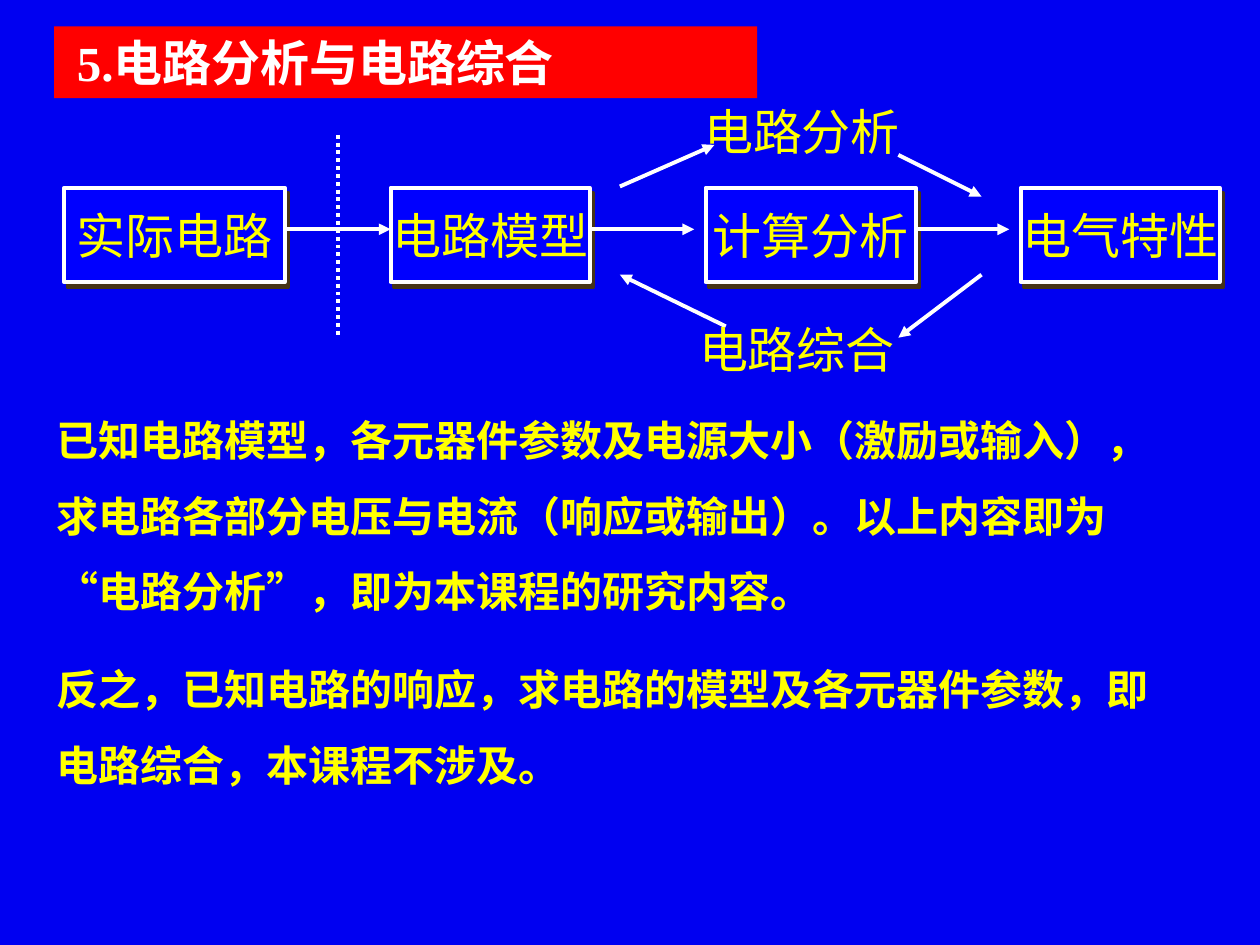
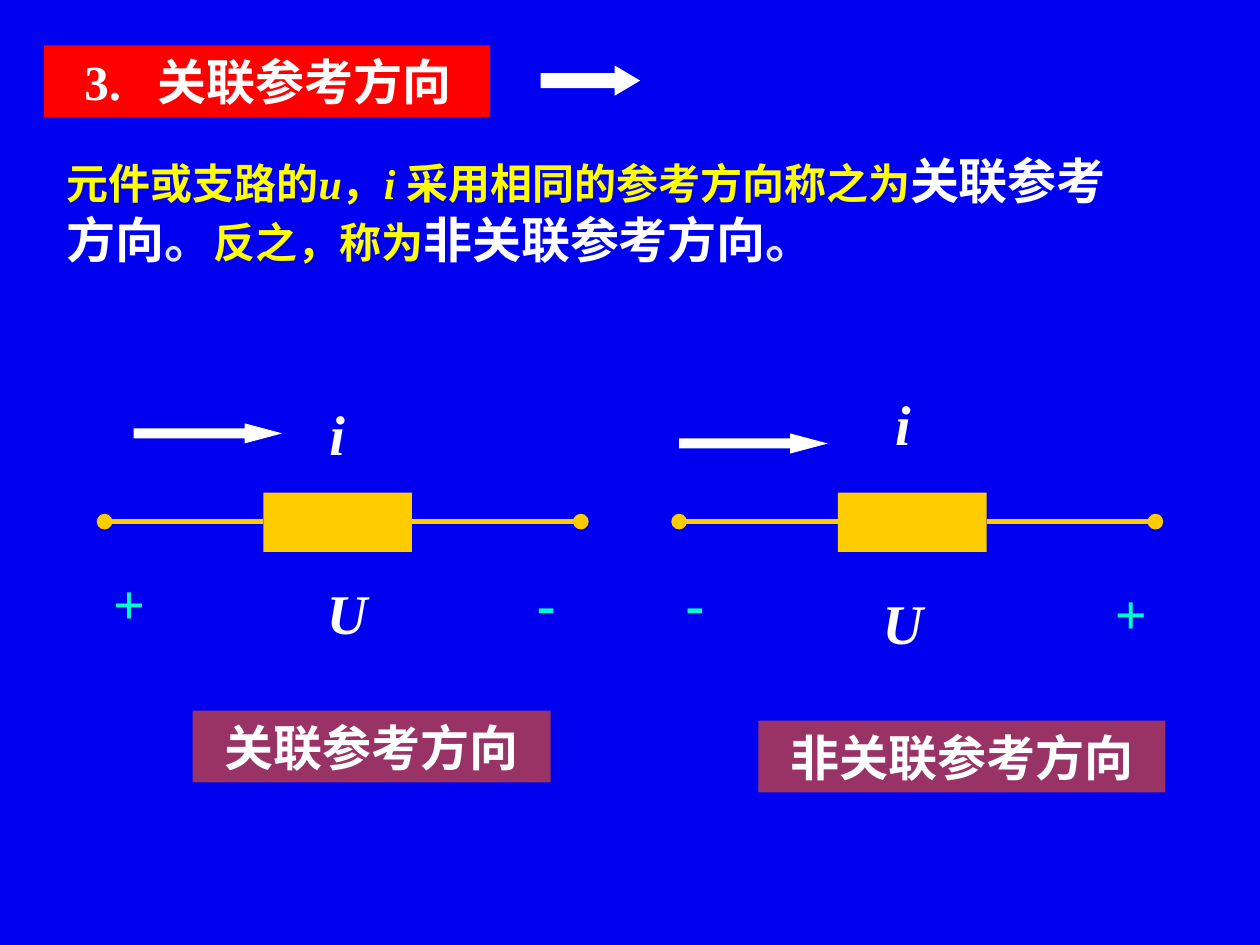
from dataclasses import dataclass

from lxml import etree
from pptx import Presentation
from pptx.dml.color import RGBColor
from pptx.enum.dml import MSO_LINE
from pptx.enum.shapes import MSO_CONNECTOR, MSO_SHAPE
from pptx.enum.text import MSO_ANCHOR, MSO_AUTO_SIZE, PP_ALIGN
from pptx.oxml.ns import qn
from pptx.util import Inches, Pt

RECT, ARROW = MSO_SHAPE.RECTANGLE, MSO_SHAPE.RIGHT_ARROW
STRAIGHT, DOTTED = MSO_CONNECTOR.STRAIGHT, MSO_LINE.ROUND_DOT
LEFT, CENTER = PP_ALIGN.LEFT, PP_ALIGN.CENTER
TOP, MIDDLE = MSO_ANCHOR.TOP, MSO_ANCHOR.MIDDLE
NO_FIT = MSO_AUTO_SIZE.NONE


@dataclass
class Theme:
    font: str = "Times New Roman"
    back: str = "0000F1"
    band: str = "FF0000"
    box: str = "0000FF"
    shadow: str = "463416"
    white: str = "FFFFFF"
    pale: str = "E3E3FF"
    yellow: str = "FFFF00"
    gold: str = "FFCC00"
    aqua: str = "00FFCC"
    plum: str = "993366"
    body: int = 24
    head: int = 28
    symbol: int = 32


T = Theme()
COL = ROW = Inches(0.1)

prs = Presentation()
prs.slide_width, prs.slide_height = 100 * COL, 75 * ROW
bg = prs.slide_master.background.fill
bg.solid()
bg.fore_color.rgb = RGBColor.from_string(T.back)
title_only = prs.slide_layouts[5]


def place(sp, x, y, w, h, paragraphs=(), size=T.head, color=T.white, fill=None,
          bold=False, italic=False, align=CENTER, anchor=TOP, wrap=True):
    sp.left, sp.top = round(x * COL), round(y * ROW)
    sp.width, sp.height = round(w * COL), round(h * ROW)
    if fill:
        sp.fill.solid()
        sp.fill.fore_color.rgb = RGBColor.from_string(fill)
        sp.line.fill.background()
        sp.shadow.inherit = False
    tf = sp.text_frame
    tf.auto_size, tf.word_wrap, tf.vertical_anchor = NO_FIT, wrap, anchor
    tf.text = "\n".join(paragraphs)
    for p in tf.paragraphs:
        p.alignment = align
        for r in p.runs:
            r.font.name, r.font.size = T.font, Pt(size)
            r.font.bold, r.font.italic = bold, italic
            r.font.color.rgb = RGBColor.from_string(color)
    return sp


def connect(s, x1, y1, x2, y2, color=T.white, width=2.25, dash=None, **ends):
    c = s.shapes.add_connector(STRAIGHT, round(x1 * COL), round(y1 * ROW),
                               round(x2 * COL), round(y2 * ROW))
    c.line.color.rgb = RGBColor.from_string(color)
    c.line.width = Pt(width)
    if dash:
        c.line.dash_style = dash
    spPr = c.element.spPr
    for end, kind in ends.items():
        etree.SubElement(spPr.find(qn("a:ln")), qn(f"a:{end}"), type=kind)
    etree.SubElement(spPr, qn("a:effectLst"))


s = prs.slides.add_slide(title_only)
title = place(s.shapes.title, 4.3, 2.1, 55.8, 5.7, ["5.电路分析与电路综合"],
              fill=T.band, bold=True, align=LEFT)
title.text_frame.margin_left = Inches(0.18)

stages = [("实际电路", 5.1, 17.5), ("电路模型", 31, 15.8),
          ("计算分析", 56, 16.7), ("电气特性", 81, 15.8)]
for name, x, w in stages:
    sp = place(s.shapes.add_shape(RECT, 0, 0, 0, 0), x, 14.9, w, 7.5, [name],
               color=T.yellow, fill=T.box, anchor=MIDDLE, wrap=False)
    sp.line.color.rgb = RGBColor.from_string(T.white)
    sp.line.width = Pt(2.25)
    effects = sp.element.spPr.find(qn("a:effectLst"))
    shadow = etree.SubElement(effects, qn("a:outerShdw"), dist=str(Pt(3.6)),
                              dir=str(56 * 60000), algn="ctr", rotWithShape="0")
    etree.SubElement(shadow, qn("a:srgbClr"), val=T.shadow)

for x1, y1, x2, y2 in [(22.6, 18.2, 31, 18.2), (46.8, 18.2, 55.1, 18.2),
                       (72.6, 18.2, 80.1, 18.2), (57.6, 25.9, 49.2, 21.8),
                       (77.9, 21.8, 71.3, 26.8), (49.2, 14.8, 56.7, 11.5),
                       (71.3, 12.3, 77.9, 15.6)]:
    connect(s, x1, y1, x2, y2, tailEnd="triangle")
connect(s, 26.8, 10.7, 26.8, 26.6, dash=DOTTED)

for name, x, y in [("电路分析", 54.9, 7.6), ("电路综合", 54.5, 24.9)]:
    place(s.shapes.add_textbox(0, 0, 0, 0), x, y, 18.7, 5.7, [name],
          color=T.yellow, align=LEFT)

body = place(s.shapes.add_textbox(0, 0, 0, 0), 3.5, 30.4, 90.6, 33.3, [
    "已知电路模型，各元器件参数及电源大小（激励或输入），求电路各部分电压与电流"
    "（响应或输出）。以上内容即为 “电路分析”，即为本课程的研究内容。",
    "反之，已知电路的响应，求电路的模型及各元器件参数，即电路综合，本课程不涉及。",
], size=T.body, color=T.yellow, bold=True, align=LEFT)
for p in body.text_frame.paragraphs:
    p.line_spacing = 1.5
body.text_frame.paragraphs[1].space_before = Pt(13)

s = prs.slides.add_slide(title_only)
title = place(s.shapes.title, 3.5, 3.6, 35.4, 5.7, ["3.\t关联参考方向"],
              fill=T.band, bold=True, align=LEFT)
title.text_frame.margin_left = Inches(0.32)
tabs = etree.SubElement(title.text_frame.paragraphs[0]._p.get_or_add_pPr(), qn("a:tabLst"))
etree.SubElement(tabs, qn("a:tab"), pos=str(Inches(0.58)), algn="l")

sp = place(s.shapes.add_shape(ARROW, 0, 0, 0, 0), 42.9, 5.2, 7.9, 2.4, fill=T.white)
sp.adjustments[1] = 0.84

definition = [
    [("元件或支路的", T.body, T.yellow, False), ("u", T.body, T.yellow, True),
     ("，", T.body, T.yellow, False), ("i ", T.body, T.yellow, True),
     ("采用相同的参考方向称之为", T.body, T.yellow, False),
     ("关联参考", T.head, T.white, False)],
    [("方向", T.head, T.white, False), ("。", T.head, T.pale, False),
     ("反之，称为", T.body, T.yellow, False),
     ("非关联参考方向", T.head, T.white, False), ("。", T.head, T.pale, False)],
]
tf = place(s.shapes.add_textbox(0, 0, 0, 0), 4.3, 11.5, 89, 10.3,
           anchor=MIDDLE).text_frame
for n, parts in enumerate(definition):
    p = tf.add_paragraph() if n else tf.paragraphs[0]
    p.alignment = LEFT
    for text, size, color, italic in parts:
        r = p.add_run()
        r.text = text
        r.font.name, r.font.size = T.font, Pt(size)
        r.font.bold, r.font.italic = True, italic
        r.font.color.rgb = RGBColor.from_string(color)

circuits = [
    (8.3, (10.6, 33.6), (24, 31.2), (24, 45.4),
     [("+", 6.7, 44.6), ("-", 39.8, 44.6)], ("关联参考方向", 15.3, 56.4, 28.4)),
    (53.9, (53.9, 34.4), (68.9, 30.4), (68.1, 46.2),
     [("-", 51.6, 44.6), ("+", 86.2, 45.4)], ("非关联参考方向", 60.2, 57.2, 32.3)),
]
for x, arrow, current, voltage, signs, (caption, cx, cy, cw) in circuits:
    place(s.shapes.add_shape(RECT, 0, 0, 0, 0), x + 12.6, 39.1, 11.8, 4.7, fill=T.gold)
    connect(s, x, 41.4, x + 12.6, 41.4, T.gold, 3, headEnd="oval")
    connect(s, x + 24.4, 41.4, x + 37.8, 41.4, T.gold, 3, tailEnd="oval")
    sp = place(s.shapes.add_shape(ARROW, 0, 0, 0, 0), *arrow, 11.8, 1.6, fill=T.white)
    sp.adjustments[1] = 1.87
    for name, spot, w in [("i", current, 5.5), ("U", voltage, 7.1)]:
        place(s.shapes.add_textbox(0, 0, 0, 0), *spot, w, 6.3, [name],
              size=T.symbol, bold=True, italic=True)
    for sign, sx, sy in signs:
        place(s.shapes.add_textbox(0, 0, 0, 0), sx, sy, 7.1, 6.3, [sign],
              size=T.symbol, color=T.aqua, bold=True)
    place(s.shapes.add_shape(RECT, 0, 0, 0, 0), cx, cy, cw, 5.7, [caption],
          fill=T.plum, bold=True, anchor=MIDDLE)

prs.save("out.pptx")
